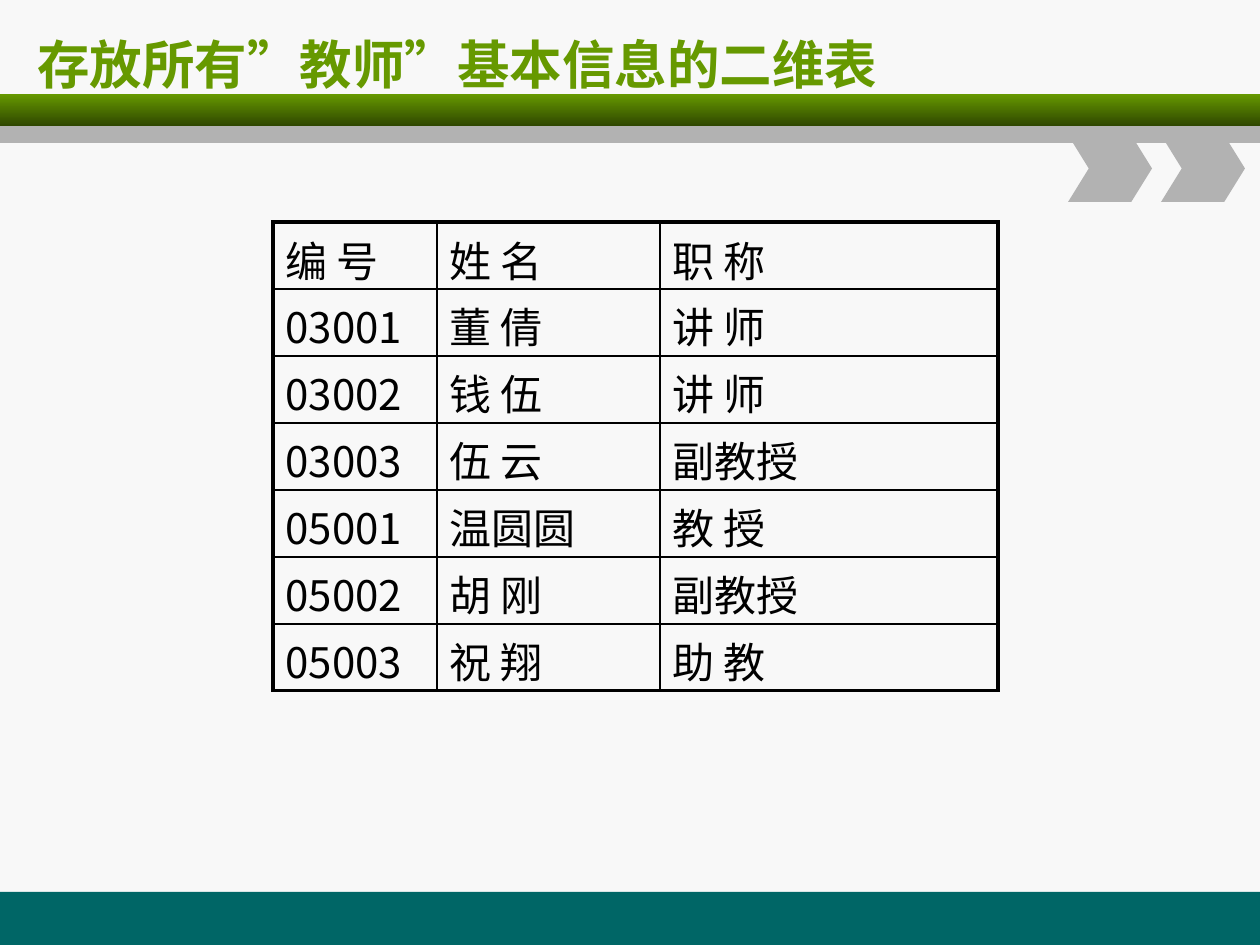
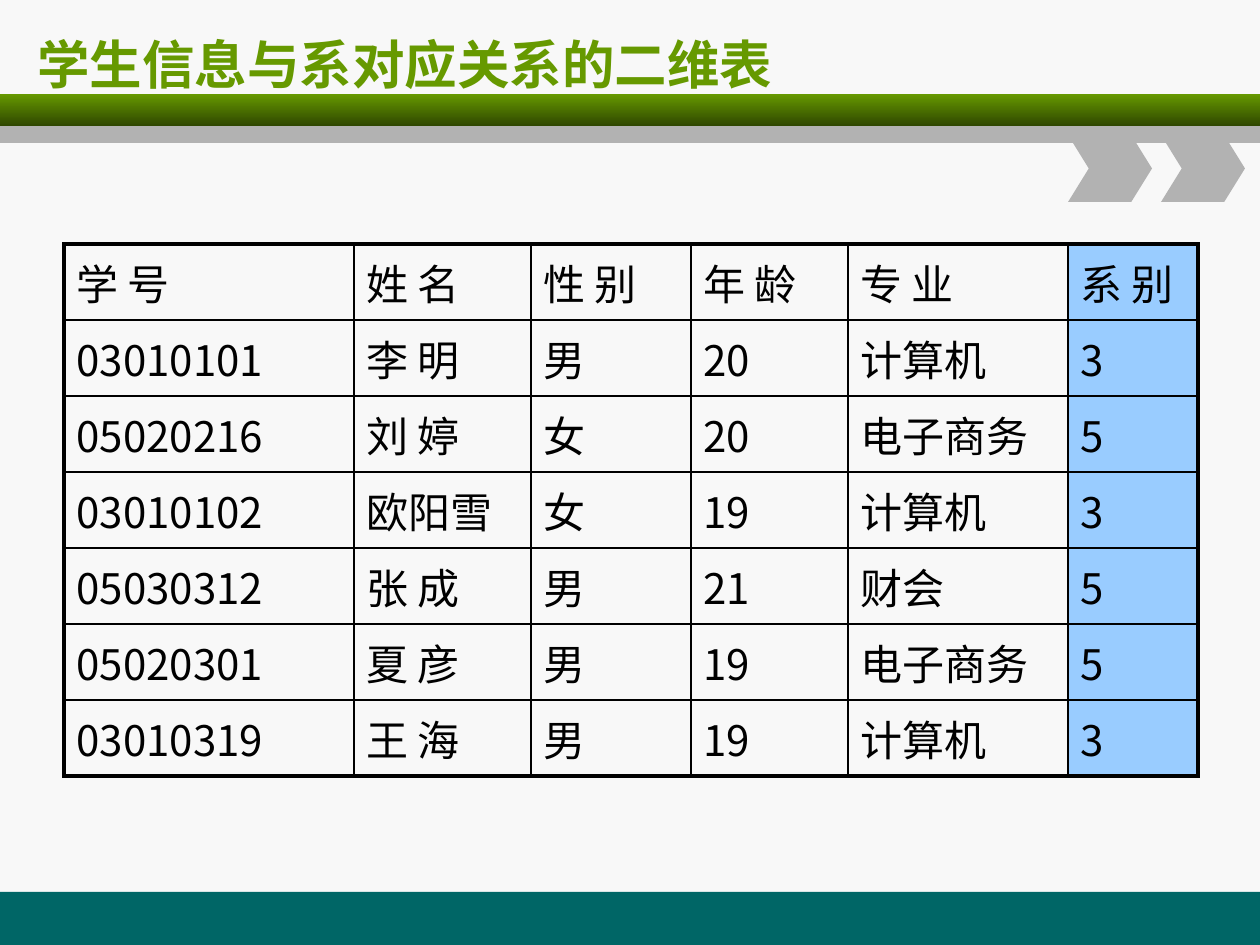
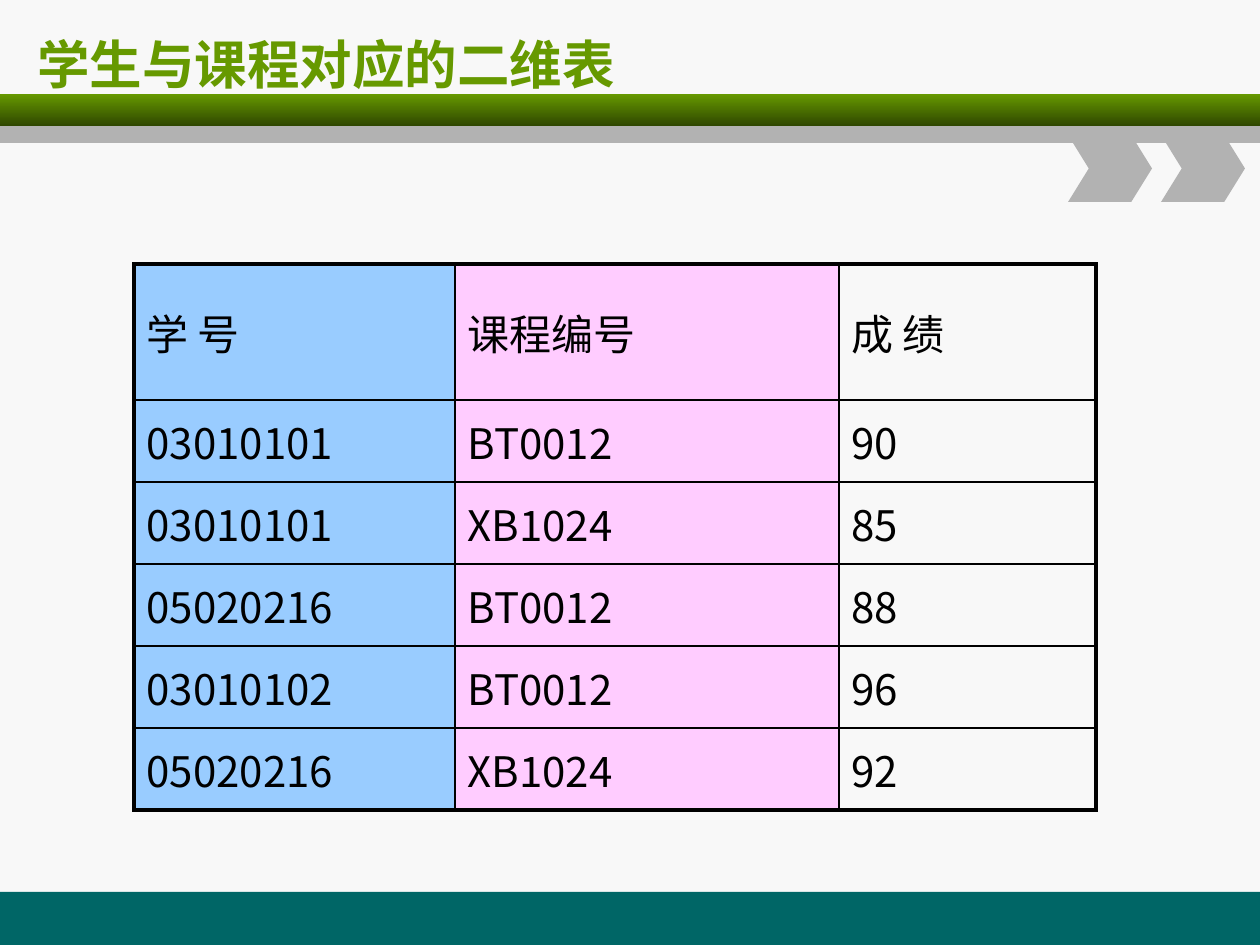
"""Build three slides that show relational tables under a shared green title band."""
import dataclasses

import lxml.etree
import pptx
import pptx.dml.color
import pptx.enum.lang
import pptx.enum.shapes
import pptx.enum.text
import pptx.oxml.ns
import pptx.util


@dataclasses.dataclass(frozen=True)
class Theme:
    font: str = "Noto Sans CJK SC"
    paper: str = "F8F8F8"
    ink: str = "000000"
    green: str = "669900"
    dark_green: str = "2F4700"
    grey: str = "B2B2B2"
    teal: str = "006666"
    blue: str = "99CCFF"
    pink: str = "FFCCFF"
    title_size: int = 30
    cell_size: int = 24
    outer_line: float = 2.25
    inner_line: float = 1


theme = Theme()
SCALE = 914400 / 126
rgb = pptx.dml.color.RGBColor.from_string
qn = pptx.oxml.ns.qn
SHAPE = pptx.enum.shapes.MSO_SHAPE


def px(*lengths):
    return [pptx.util.Emu(round(length * SCALE)) for length in lengths]


def write(frame, text, size, colour, bold=False):
    frame.vertical_anchor = pptx.enum.text.MSO_ANCHOR.MIDDLE
    frame.word_wrap = True
    span = frame.paragraphs[0].add_run()
    span.text = text
    span.font.color.rgb = rgb(colour)
    values = {
        "size": pptx.util.Pt(size),
        "bold": bold,
        "name": theme.font,
        "language_id": pptx.enum.lang.MSO_LANGUAGE_ID.SIMPLIFIED_CHINESE,
    }
    for name, value in values.items():
        setattr(span.font, name, value)
    latin = span.font._element.find(qn("a:latin"))
    latin.addnext(latin.makeelement(qn("a:ea"), {"typeface": theme.font}))


BANDS = [
    (SHAPE.RECTANGLE, (0, 892, 1260, 53), theme.teal),
    (SHAPE.RECTANGLE, (0, 94, 1260, 32), None),
    (SHAPE.RECTANGLE, (0, 126, 1260, 17), theme.grey),
    (SHAPE.CHEVRON, (1068, 135, 84, 67), theme.grey),
    (SHAPE.CHEVRON, (1161, 135, 84, 67), theme.grey),
]

PAGES = [
    {
        "title": "存放所有”教师”基本信息的二维表",
        "corner": (273, 222),
        "columns": [164, 223, 338],
        "heights": [67] * 7,
        "fills": {},
        "rows": [
            ["编 号", "姓 名", "职 称"],
            ["03001", "董 倩", "讲 师"],
            ["03002", "钱 伍", "讲 师"],
            ["03003", "伍 云", "副教授"],
            ["05001", "温圆圆", "教 授"],
            ["05002", "胡 刚", "副教授"],
            ["05003", "祝 翔", "助 教"],
        ],
    },
    {
        "title": "学生信息与系对应关系的二维表",
        "corner": (64, 244),
        "columns": [290, 177, 160, 157, 220, 130],
        "heights": [76] * 7,
        "fills": {5: theme.blue},
        "rows": [
            ["学 号", "姓 名", "性 别", "年 龄", "专 业", "系 别"],
            ["03010101", "李 明", "男", "20", "计算机", "3"],
            ["05020216", "刘 婷", "女", "20", "电子商务", "5"],
            ["03010102", "欧阳雪", "女", "19", "计算机", "3"],
            ["05030312", "张 成", "男", "21", "财会", "5"],
            ["05020301", "夏 彦", "男", "19", "电子商务", "5"],
            ["03010319", "王 海", "男", "19", "计算机", "3"],
        ],
    },
    {
        "title": "学生与课程对应的二维表",
        "corner": (134, 264),
        "columns": [321, 384, 257],
        "heights": [136] + [82] * 5,
        "fills": {0: theme.blue, 1: theme.pink},
        "rows": [
            ["学 号", "课程编号", "成 绩"],
            ["03010101", "BT0012", "90"],
            ["03010101", "XB1024", "85"],
            ["05020216", "BT0012", "88"],
            ["03010102", "BT0012", "96"],
            ["05020216", "XB1024", "92"],
        ],
    },
]

deck = pptx.Presentation()
deck.slide_width, deck.slide_height = px(1260, 945)
background = deck.slide_master.background.fill
background.solid()
background.fore_color.rgb = rgb(theme.paper)

for content in PAGES:
    page = deck.slides.add_slide(deck.slide_layouts[6])

    for kind, place, colour in BANDS:
        band = page.shapes.add_shape(kind, *px(*place))
        band.shadow.inherit = False
        band.line.fill.background()
        if kind == SHAPE.CHEVRON:
            band.adjustments[0] = 0.31
        if colour:
            band.fill.solid()
            band.fill.fore_color.rgb = rgb(colour)
        else:
            band.fill.gradient()
            band.fill.gradient_angle = 270
            for stop, shade in zip(band.fill.gradient_stops, (theme.green, theme.dark_green)):
                stop.color.rgb = rgb(shade)

    title = page.shapes.add_textbox(*px(25, 21, 1203, 85))
    write(title.text_frame, content["title"], theme.title_size, theme.green, True)

    rows, columns, heights = content["rows"], content["columns"], content["heights"]
    size = sum(columns), sum(heights)
    table = page.shapes.add_table(len(rows), len(columns), *px(*content["corner"], *size)).table
    table.first_row = table.horz_banding = False
    for column, width in zip(table.columns, px(*columns)):
        column.width = width
    for row, height in zip(table.rows, px(*heights)):
        row.height = height

    for y, texts in enumerate(rows):
        for x, text in enumerate(texts):
            cell = table.cell(y, x)
            write(cell.text_frame, text, theme.cell_size, theme.ink)
            cell.vertical_anchor = pptx.enum.text.MSO_ANCHOR.MIDDLE
            outer_edges = {
                "a:lnL": x == 0,
                "a:lnR": x == len(columns) - 1,
                "a:lnT": y == 0,
                "a:lnB": y == len(rows) - 1,
            }
            properties = cell._tc.get_or_add_tcPr()
            for tag, outer in outer_edges.items():
                weight = pptx.util.Pt(theme.outer_line if outer else theme.inner_line)
                edge = lxml.etree.SubElement(properties, qn(tag), w=str(weight))
                paint = lxml.etree.SubElement(edge, qn("a:solidFill"))
                lxml.etree.SubElement(paint, qn("a:srgbClr"), val=theme.ink)
            if x in content["fills"]:
                cell.fill.solid()
                cell.fill.fore_color.rgb = rgb(content["fills"][x])
            else:
                cell.fill.background()

deck.save("out.pptx")
